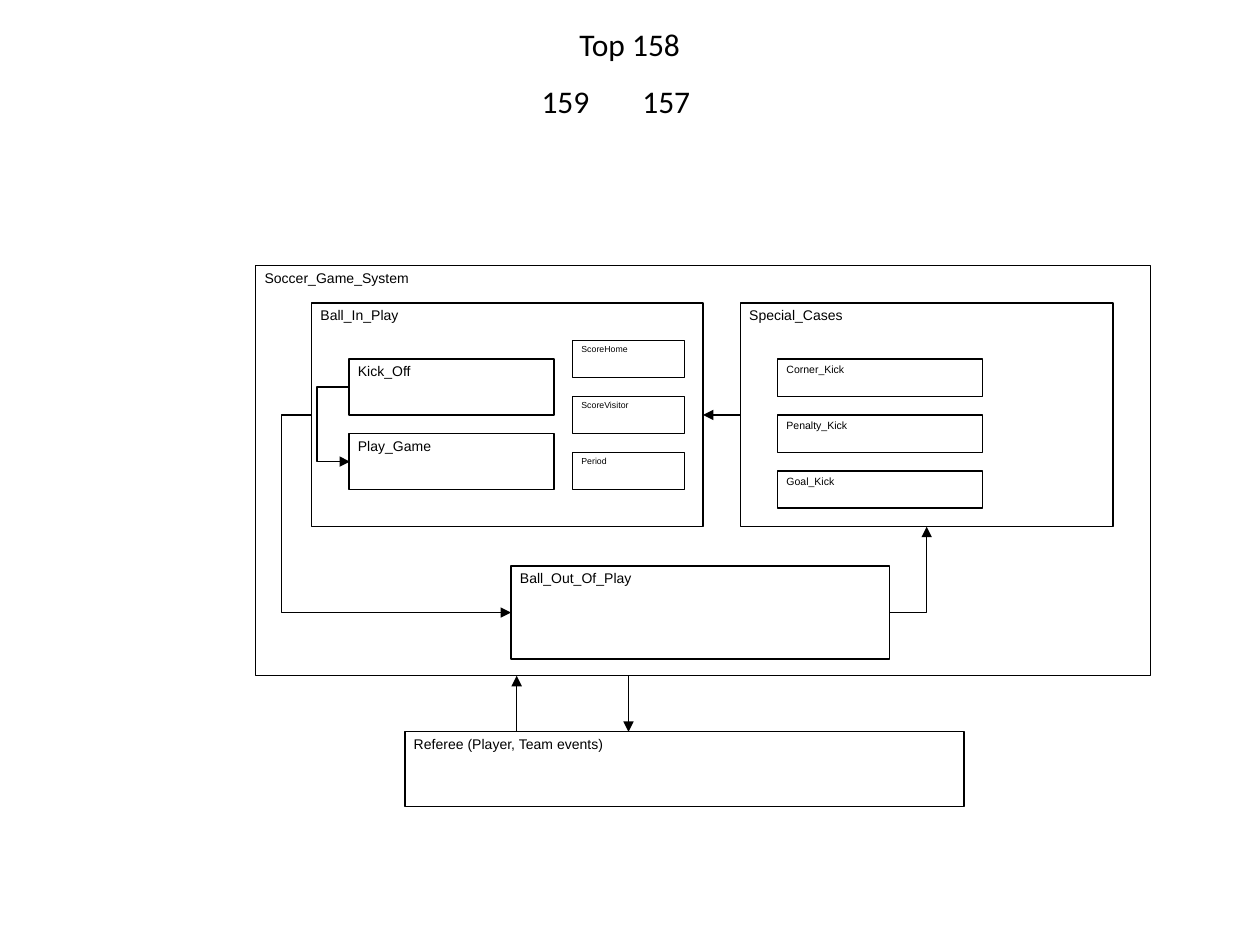
import pptx
import pptx.util
import pptx.dml.color
import pptx.enum.shapes
import pptx.enum.text
import pptx.oxml
import pptx.oxml.ns
from dataclasses import dataclass


@dataclass(frozen=True)
class Theme:
    ink: str = "000000"
    paper: str = "FFFFFF"
    head: str = "Calibri"
    body: str = "Arial"
    big: int = 18
    mid: int = 8
    small: int = 6
    tiny: int = 5
    rule: float = 0.75


THEME = Theme()
WIDE, HIGH = 10, 7.5
LEFT, TOP = 2.03, 2.11   # corner of the diagram grid
UNIT = 7.1 / 48          # the system frame is 48 columns wide


def inch(size):
    return pptx.util.Inches(size)


def col(n):
    return inch(LEFT + n * UNIT)


def row(n):
    return inch(TOP + n * UNIT)


def color(code):
    return pptx.dml.color.RGBColor.from_string(code)


def write(frame, text, font=THEME.body, size=THEME.mid, wrap=True, pad=(0.07, 0.03)):
    frame.word_wrap = wrap
    frame.vertical_anchor = pptx.enum.text.MSO_ANCHOR.TOP
    frame.margin_left = frame.margin_right = inch(pad[0])
    frame.margin_top = frame.margin_bottom = inch(pad[1])
    para = frame.paragraphs[0]
    para.alignment = pptx.enum.text.PP_ALIGN.LEFT
    run = para.add_run()
    run.text = text
    run.font.name = font
    run.font.size = pptx.util.Pt(size)
    run.font.color.rgb = color(THEME.ink)


def stroke(line):
    line.color.rgb = color(THEME.ink)
    line.width = pptx.util.Pt(THEME.rule)


def label(slide, text, x, y, w):
    """Heading text, placed by shares of the slide."""
    box = slide.shapes.add_textbox(inch(x * WIDE), inch(y * HIGH), inch(w * WIDE), inch(0.4))
    write(box.text_frame, text, font=THEME.head, size=THEME.big, wrap=False, pad=(0.1, 0.05))


def state(slide, text, x, y, w, h, size=THEME.mid):
    """State box, placed by grid columns and rows."""
    kind = pptx.enum.shapes.MSO_SHAPE.RECTANGLE
    box = slide.shapes.add_shape(kind, col(x), row(y), inch(w * UNIT), inch(h * UNIT))
    box.shadow.inherit = False
    box.fill.solid()
    box.fill.fore_color.rgb = color(THEME.paper)
    stroke(box.line)
    write(box.text_frame, text, size=size)


def arrow(slide, start, end, bend=None, corner=False):
    """Arrow between grid points; bend is the column of the middle leg."""
    kinds = pptx.enum.shapes.MSO_CONNECTOR
    kind = kinds.STRAIGHT if bend is None and not corner else kinds.ELBOW
    link = slide.shapes.add_connector(kind, col(start[0]), row(start[1]), col(end[0]), row(end[1]))
    stroke(link.line)
    props = link._element.spPr
    name = pptx.oxml.ns.qn
    shape = props.find(name("a:prstGeom"))
    if corner:
        shape.set("prst", "bentConnector2")
    if bend is not None:
        share = (bend - start[0]) / (end[0] - start[0])
        guides = shape.find(name("a:avLst"))
        guide = guides.makeelement(name("a:gd"), {"name": "adj1", "fmla": f"val {round(share * 100000)}"})
        guides.append(guide)
    line = props.find(name("a:ln"))
    line.append(line.makeelement(name("a:tailEnd"), {"type": "triangle"}))
    props.append(props.makeelement(name("a:effectLst"), {}))


def main():
    deck = pptx.Presentation()
    deck.slide_width, deck.slide_height = inch(WIDE), inch(HIGH)
    slide = deck.slides.add_slide(deck.slide_layouts[6])

    # Frames
    state(slide, "Soccer_Game_System", 0, 0, 48, 22)
    state(slide, "Ball_Out_Of_Play", 13.7, 16.1, 20.3, 5)
    state(slide, "Ball_In_Play", 3, 2, 21, 12)
    state(slide, "Special_Cases", 26, 2, 20, 12)
    state(slide, "Referee (Player, Team events)", 8, 25, 30, 4)

    # Inner states
    for i, text in enumerate(("Kick_Off", "Play_Game")):
        state(slide, text, 5, 5 + 4 * i, 11, 3)
    for i, text in enumerate(("ScoreHome", "ScoreVisitor", "Period")):
        state(slide, text, 17, 4 + 3 * i, 6, 2, size=THEME.tiny)
    for i, text in enumerate(("Corner_Kick", "Penalty_Kick", "Goal_Kick")):
        state(slide, text, 28, 5 + 3 * i, 11, 2, size=THEME.small)

    # Transitions
    arrow(slide, (14, 25), (14, 22))
    arrow(slide, (20, 22), (20, 25))
    arrow(slide, (3, 8), (13.7, 18.6), bend=1.4)
    arrow(slide, (34, 18.6), (36, 14), corner=True)
    arrow(slide, (26, 8), (24, 8))
    arrow(slide, (5, 6.5), (5.05, 10.5), bend=3.3)

    # Headings
    label(slide, "159", 0.42, 0.08, 0.06)
    label(slide, "Top 158", 0.45, 0.02, 0.1)
    label(slide, "157", 0.5, 0.08, 0.06)

    deck.save("out.pptx")


if __name__ == "__main__":
    main()
